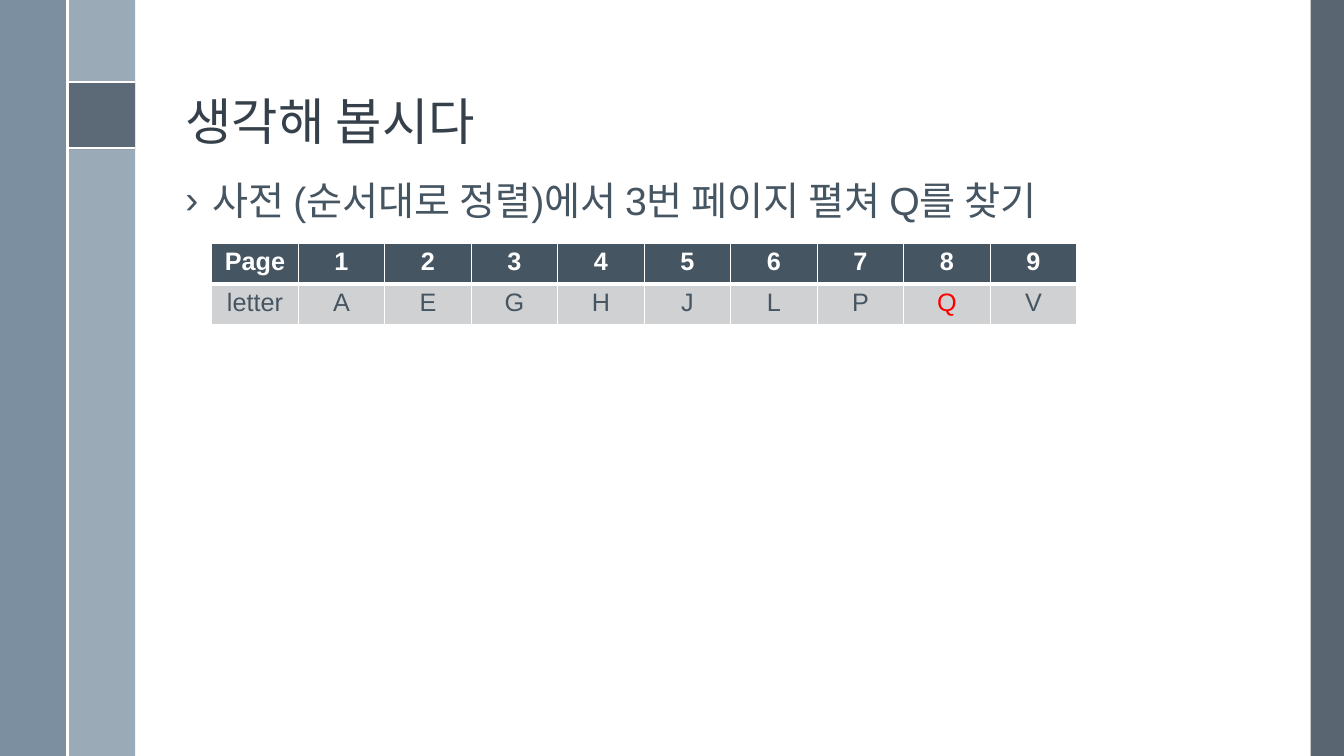
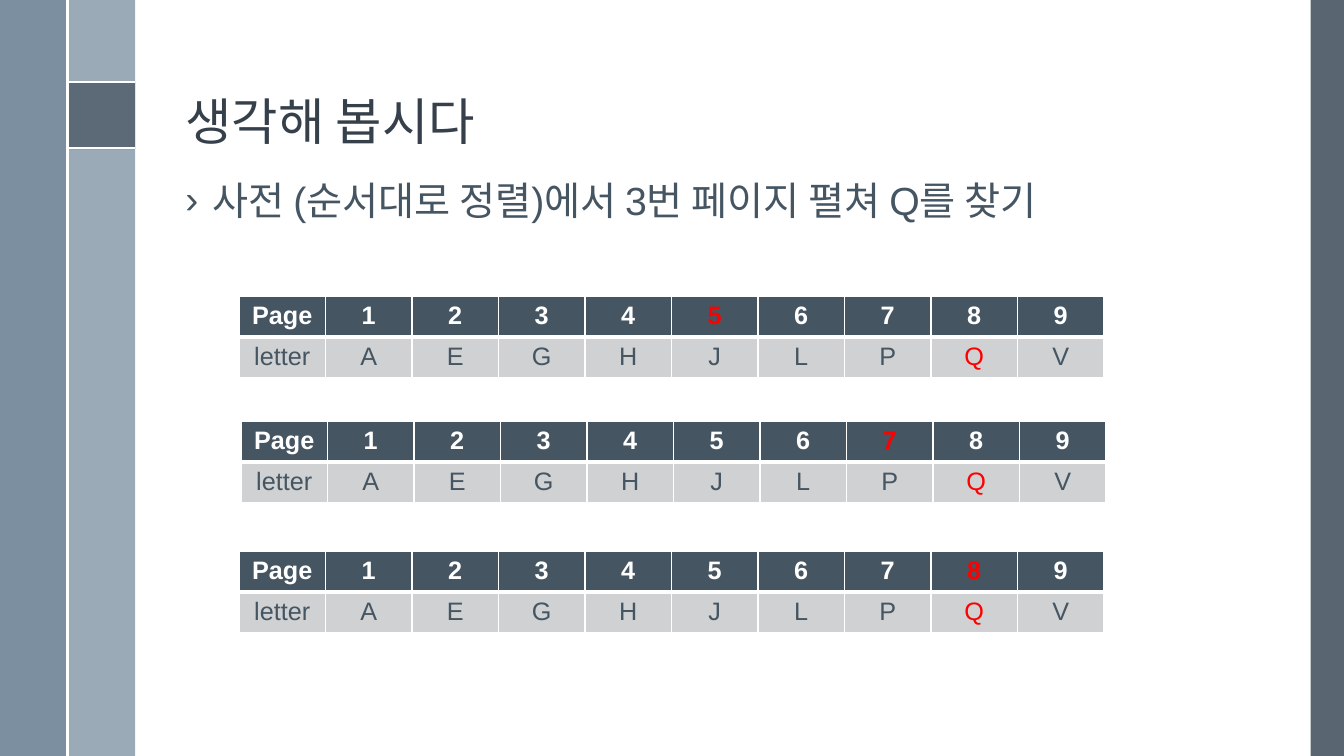
from lxml import etree
from pptx import Presentation
from pptx.dml.color import RGBColor
from pptx.enum.shapes import MSO_CONNECTOR, MSO_SHAPE
from pptx.enum.text import MSO_ANCHOR, MSO_AUTO_SIZE, PP_ALIGN
from pptx.oxml.ns import qn
from pptx.util import Inches, Pt

RECT = MSO_SHAPE.RECTANGLE
LINE = MSO_CONNECTOR.STRAIGHT
LEFT, CENTER = PP_ALIGN.LEFT, PP_ALIGN.CENTER
BOTTOM = MSO_ANCHOR.BOTTOM
NO_FIT = MSO_AUTO_SIZE.NONE

FONT = "Arial"
WHITE, RED = "FFFFFF", "FF0000"
DARK, SLATE, PALE = "35404A", "465562", "CFD1D3"

TITLE = "생각해 봅시다"
POINT = "사전 (순서대로 정렬)에서 3번 페이지 펼쳐 Q를 찾기"
PAGES = ["Page", *"123456789"]
LETTERS = ["letter", *"AEGHJLPQV"]
GOAL = "Q"

SLIDES = [
    {"height": 5, "tables": [(2.1, 2.41, None)]},
    {"height": 0.9, "tables": [(2.37, 2.94, "5"), (2.39, 4.18, "7"), (2.37, 5.47, "8")]},
]

BANDS = [
    (13, 0, 0.33, 7.5, "475562", 90),
    (0.67, 0, 0.67, 7.5, "9BAAB7", 100),
    (0, 0, 0.67, 7.5, "6A8093", 88),
    (0.67, 0.81, 0.67, 0.67, "475562", 75),
]
RULES = [(0.67, 0.81, 1.34, 0.81), (0.67, 1.47, 1.34, 1.47), (0.67, 0, 0.67, 7.5)]
PI = [
    (1.18, 0.98), (0.9, 0.98), (0.86, 1), (0.83, 1.04), (0.84, 1.05), (0.85, 1.05),
    (0.87, 1.02), (0.9, 1.01), (0.94, 1.01), (0.92, 1.17), (0.88, 1.27), (0.88, 1.29),
    (0.9, 1.29), (0.94, 1.2), (0.97, 1.01), (1.06, 1.01), (1.05, 1.22), (1.05, 1.26),
    (1.07, 1.29), (1.1, 1.3), (1.12, 1.3), (1.16, 1.28), (1.19, 1.22), (1.18, 1.21),
    (1.16, 1.22), (1.14, 1.26), (1.11, 1.28), (1.08, 1.27), (1.07, 1.22), (1.09, 1.01),
    (1.18, 1.01), (1.19, 1), (1.19, 0.99),
]


def color(code):
    return RGBColor.from_string(code)


def paint(shape, code, alpha=100):
    shape.shadow.inherit = False
    shape.line.fill.background()
    shape.fill.solid()
    shape.fill.fore_color.rgb = color(code)
    if alpha < 100:
        tone = shape.element.spPr.find(qn("a:solidFill"))[0]
        etree.SubElement(tone, qn("a:alpha"), val=str(alpha * 1000))


def write(para, text, size, code, bold=False):
    run = para.add_run()
    run.text = text
    run.font.name = FONT
    run.font.size = Pt(size)
    run.font.bold = bold
    run.font.color.rgb = color(code)


def place(shape, *box):
    shape.left, shape.top, shape.width, shape.height = map(Inches, box)


def frame(slide):
    for *box, code, alpha in BANDS:
        paint(slide.shapes.add_shape(RECT, *map(Inches, box)), code, alpha)
    for ends in RULES:
        rule = slide.shapes.add_connector(LINE, *map(Inches, ends))
        rule.line.color.rgb = color(WHITE)
        rule.line.width = Pt(1.5)
        etree.SubElement(rule.element.spPr, qn("a:effectLst"))
    pen = slide.shapes.build_freeform(*PI[0], scale=Inches(1))
    pen.add_line_segments(PI[1:], close=True)
    paint(pen.convert_to_shape(), WHITE)


def head(slide):
    title = slide.shapes.title
    place(title, 1.74, 0.19, 10.7, 1.36)
    text = title.text_frame
    text.auto_size = NO_FIT
    text.vertical_anchor = BOTTOM
    para = text.paragraphs[0]
    para.alignment = LEFT
    para.line_spacing = 0.9
    write(para, TITLE, 36, DARK)


def bullet(slide, height):
    box = slide.shapes.add_textbox(*map(Inches, (1.74, 1.75, 10.7, height)))
    box.text_frame.word_wrap = True
    para = box.text_frame.paragraphs[0]
    para.line_spacing = 0.9
    para.space_before = Pt(14)
    props = para._p.get_or_add_pPr()
    props.set("marL", str(Inches(0.27)))
    props.set("indent", str(Inches(-0.27)))
    font = etree.SubElement(props, qn("a:buFont"))
    font.set("typeface", FONT)
    etree.SubElement(props, qn("a:buChar"), char="›")
    write(para, POINT, 28, SLATE)


def border(cell, top, bottom):
    props = cell._tc.get_or_add_tcPr()
    for side, width in zip("LRTB", (1, 1, top, bottom)):
        line = etree.SubElement(props, qn("a:ln" + side), w=str(Pt(width)))
        fill = etree.SubElement(line, qn("a:solidFill"))
        etree.SubElement(fill, qn("a:srgbClr"), val=WHITE)


def grid(slide, left, top, mark):
    rows = [
        (PAGES, SLATE, WHITE, mark, True, (1, 3)),
        (LETTERS, PALE, SLATE, GOAL, False, (3, 1)),
    ]
    size = map(Inches, (left, top, 8.58, 0.81))
    table = slide.shapes.add_table(len(rows), len(PAGES), *size).table
    table.horz_banding = False
    for r, (words, back, ink, hit, bold, edges) in enumerate(rows):
        for c, word in enumerate(words):
            cell = table.cell(r, c)
            border(cell, *edges)
            cell.fill.solid()
            cell.fill.fore_color.rgb = color(back)
            para = cell.text_frame.paragraphs[0]
            para.alignment = CENTER
            write(para, word, 18, RED if word == hit else ink, bold)


def main():
    deck = Presentation()
    deck.slide_width, deck.slide_height = Inches(13.33), Inches(7.5)
    for page in SLIDES:
        slide = deck.slides.add_slide(deck.slide_layouts[5])
        frame(slide)
        head(slide)
        bullet(slide, page["height"])
        for spot in page["tables"]:
            grid(slide, *spot)
    deck.save("out.pptx")


if __name__ == "__main__":
    main()
